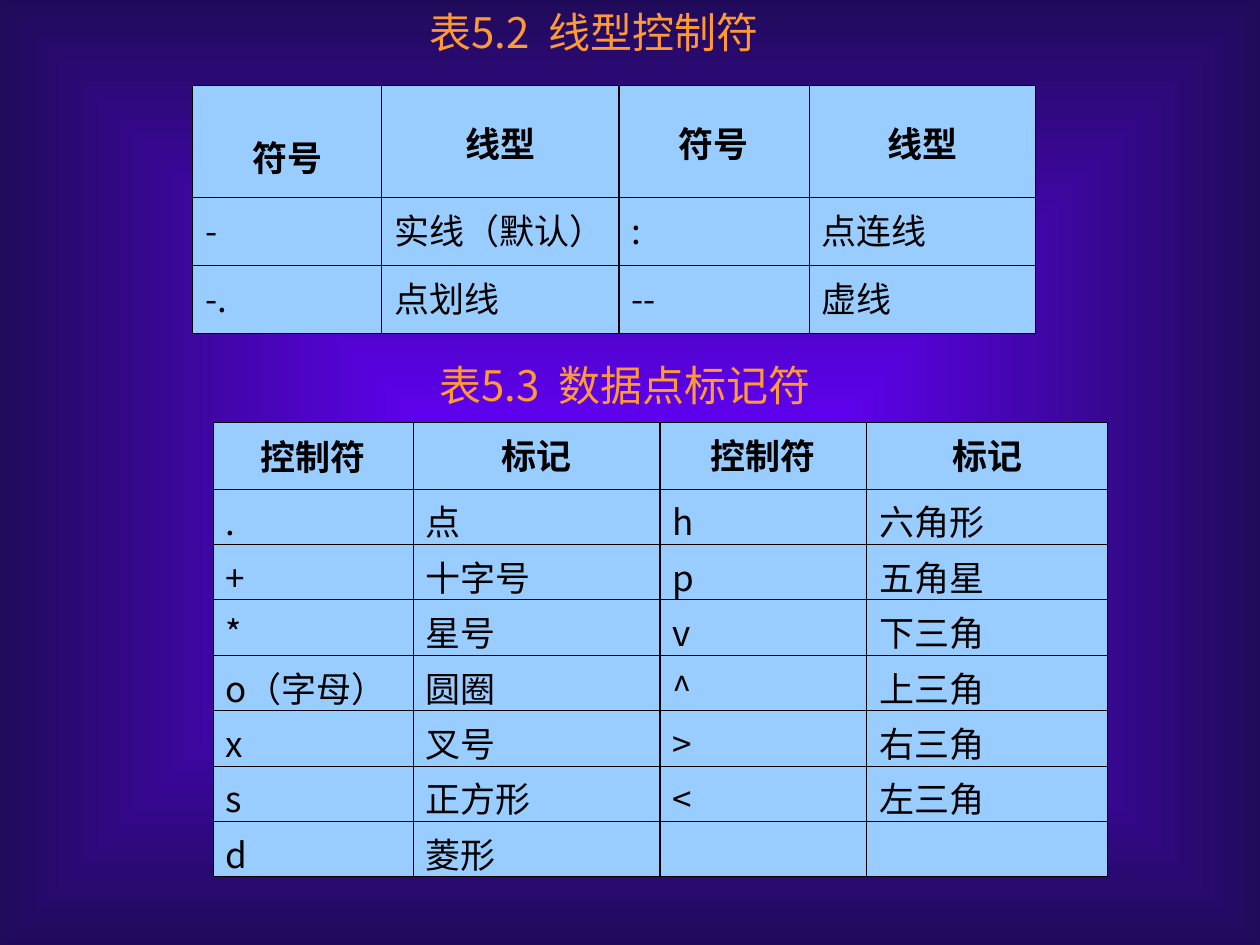
from lxml import etree
from pptx import Presentation
from pptx.dml import color
from pptx.enum import text
from pptx.oxml import ns
from pptx.util import Inches, Pt

COLORS = {
    "center": "6600FF",
    "edge": "200B5B",
    "caption": "FF9933",
    "cell": "99CCFF",
    "ink": "000000",
}
FONT = "Noto Sans CJK SC"
TOP, MIDDLE, BOTTOM = (
    text.MSO_ANCHOR.TOP, text.MSO_ANCHOR.MIDDLE, text.MSO_ANCHOR.BOTTOM)
THIN, THICK = 0.45, 1.47

SECTIONS = [
    {
        "caption": "表5.2  线型控制符",
        "caption_box": (3.23, 0, 2.97, 0.5),
        "corner": (1.53, 0.68),
        "columns": [1.5, 1.88, 1.51, 1.8],
        "header_height": 0.89,
        "row_height": 0.54,
        "header_anchors": [BOTTOM, MIDDLE, MIDDLE, MIDDLE],
        "rows": [
            ("符号", "线型", "符号", "线型"),
            ("-", "实线（默认）", ":", "点连线"),
            ("-.", "点划线", "--", "虚线"),
        ],
    },
    {
        "caption": "表5.3  数据点标记符",
        "caption_box": (3.21, 2.8, 3.5, 0.5),
        "corner": (1.69, 3.35),
        "columns": [1.59, 1.96, 1.64, 1.91],
        "header_height": 0.53,
        "row_height": 0.44,
        "header_anchors": [MIDDLE, TOP, TOP, TOP],
        "rows": [
            ("控制符", "标记", "控制符", "标记"),
            (".", "点", "h", "六角形"),
            ("+", "十字号", "p", "五角星"),
            ("*", "星号", "v", "下三角"),
            ("o（字母）", "圆圈", "^", "上三角"),
            ("x", "叉号", ">", "右三角"),
            ("s", "正方形", "<", "左三角"),
            ("d", "菱形", "", ""),
        ],
    },
]


def rgb(name):
    return color.RGBColor.from_string(COLORS[name])


def write(frame, words, size=20, ink="ink", bold=False, centered=False):
    paragraph = frame.paragraphs[0]
    paragraph.alignment = text.PP_ALIGN.CENTER if centered else text.PP_ALIGN.LEFT
    if not words:
        return
    run = paragraph.add_run()
    run.text = words
    run.font.size = Pt(size)
    run.font.name = FONT
    run.font.bold = bold
    run.font.color.rgb = rgb(ink)
    east_asian = etree.SubElement(run.font._element, ns.qn("a:ea"))
    east_asian.set("typeface", FONT)


def paint_background(slide):
    fill = slide.background.fill
    fill.gradient()
    for stop, name in zip(fill.gradient_stops, ("center", "edge")):
        stop.color.rgb = rgb(name)
    gradient = slide.background._cSld.find(".//" + ns.qn("a:gradFill"))
    gradient.remove(gradient.find(ns.qn("a:lin")))
    shade = etree.SubElement(gradient, ns.qn("a:path"), path="rect")
    etree.SubElement(
        shade, ns.qn("a:fillToRect"), l="50000", t="50000", r="50000", b="50000")


def draw_borders(cell, column):
    properties = cell._tc.get_or_add_tcPr()
    widths = {
        "lnL": THICK if column == 2 else THIN,
        "lnR": THICK if column == 1 else THIN,
        "lnT": THIN,
        "lnB": THIN,
    }
    for side, width in widths.items():
        border = etree.SubElement(
            properties, ns.qn("a:" + side), w=str(int(Pt(width))))
        solid = etree.SubElement(border, ns.qn("a:solidFill"))
        etree.SubElement(solid, ns.qn("a:srgbClr"), val=COLORS["ink"])


def add_caption(slide, section):
    frame = slide.shapes.add_textbox(*map(Inches, section["caption_box"])).text_frame
    frame.word_wrap = False
    frame.auto_size = text.MSO_AUTO_SIZE.SHAPE_TO_FIT_TEXT
    frame.vertical_anchor = MIDDLE
    write(frame, section["caption"], size=24, ink="caption", centered=True)


def add_grid(slide, section):
    rows, columns = section["rows"], section["columns"]
    heights = [section["header_height"]] + [section["row_height"]] * (len(rows) - 1)
    extent = (*section["corner"], sum(columns), sum(heights))
    grid = slide.shapes.add_table(
        len(rows), len(columns), *map(Inches, extent)).table
    grid.horz_banding = False
    grid.first_row = False
    for column, width in zip(grid.columns, columns):
        column.width = Inches(width)
    for r, (row, height) in enumerate(zip(rows, heights)):
        grid.rows[r].height = Inches(height)
        header = r == 0
        for c, words in enumerate(row):
            cell = grid.cell(r, c)
            anchor = section["header_anchors"][c] if header else TOP
            cell.vertical_anchor = anchor
            cell.margin_left = cell.margin_right = Inches(0.1)
            cell.margin_top = Inches(0.05)
            cell.margin_bottom = Inches(
                0.13 if anchor == BOTTOM else 0.05 if height > 0.5 else 0)
            draw_borders(cell, c)
            cell.fill.solid()
            cell.fill.fore_color.rgb = rgb("cell")
            write(cell.text_frame, words, bold=header, centered=header)


def main():
    deck = Presentation()
    deck.slide_width, deck.slide_height = Inches(10), Inches(7.5)
    slide = deck.slides.add_slide(deck.slide_layouts[6])
    paint_background(slide)
    for section in SECTIONS:
        add_caption(slide, section)
        add_grid(slide, section)
    deck.save("out.pptx")


if __name__ == "__main__":
    main()
